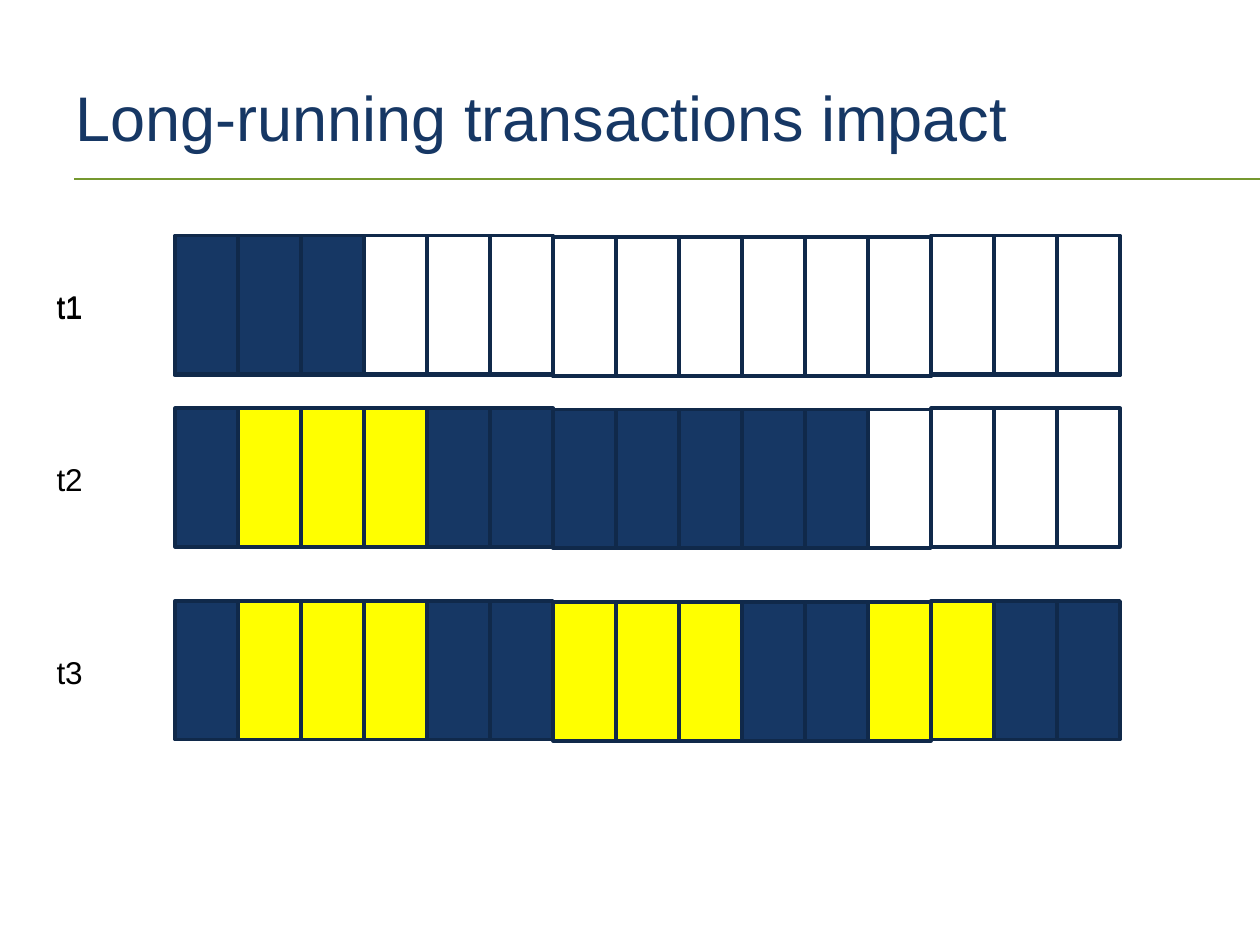
from lxml.etree import SubElement
from pptx import Presentation
from pptx.dml.color import RGBColor
from pptx.enum.shapes import MSO_CONNECTOR, MSO_SHAPE
from pptx.enum.text import MSO_ANCHOR, MSO_AUTO_SIZE, PP_ALIGN
from pptx.oxml.ns import qn
from pptx.util import Inches, Pt

TITLE = "Long-running transactions impact"
ROWS = [
    ("t1", 1.88, "NNNWWWWWWWWWWWW"),
    ("t1", 1.87, "NNNWWWWWWWWWWWW"),
    ("t2", 3.24, "NYYYNNNNNNNWWWW"),
    ("t3", 4.77, "NYYYNNYYYNNYYNN"),
]
COLORS = {
    "N": "163764", "Y": "FFFF00", "W": "FFFFFF",
    "edge": "10294A", "rule": "75982F", "text": "000000",
}
LEFT, WIDE, HIGH = 1.39, 0.5, 1.1
LOW, DROP = range(6, 12), 0.01


def color(key):
    return RGBColor.from_string(COLORS[key])


def style(para, size, key):
    para.alignment = PP_ALIGN.LEFT
    for run in para.runs:
        run.font.name = "Arial"
        run.font.size = Pt(size)
        run.font.color.rgb = color(key)


def add_title(slide):
    title = slide.shapes.title
    title.left, title.top = Inches(0.5), Inches(0.3)
    title.width, title.height = Inches(9), Inches(1.25)
    frame = title.text_frame
    frame.text = TITLE
    frame.vertical_anchor = MSO_ANCHOR.MIDDLE
    style(frame.paragraphs[0], 36, "N")


def add_rule(slide):
    rule = slide.shapes.add_connector(
        MSO_CONNECTOR.STRAIGHT, Inches(0.59), Inches(1.42), Inches(10), Inches(1.42))
    rule.line.color.rgb = color("rule")
    rule.line.width = Pt(1)
    SubElement(rule._element.spPr, qn("a:effectLst"))


def add_cell(slide, left, top, key):
    cell = slide.shapes.add_shape(
        MSO_SHAPE.RECTANGLE, Inches(left), Inches(top), Inches(WIDE), Inches(HIGH))
    cell.shadow.inherit = False
    cell.fill.solid()
    cell.fill.fore_color.rgb = color(key)
    cell.line.color.rgb = color("edge")
    cell.line.width = Pt(2)


def add_label(slide, text, top):
    box = slide.shapes.add_textbox(
        Inches(0.35), Inches(top), Inches(0.41), Inches(0.4))
    frame = box.text_frame
    frame.text = text
    frame.word_wrap = False
    frame.auto_size = MSO_AUTO_SIZE.SHAPE_TO_FIT_TEXT
    style(frame.paragraphs[0], 18, "text")


def main():
    deck = Presentation()
    deck.slide_width, deck.slide_height = Inches(10), Inches(7.5)
    slide = deck.slides.add_slide(deck.slide_layouts[5])
    add_rule(slide)
    add_title(slide)
    for label, top, cells in ROWS:
        for col, key in enumerate(cells):
            shift = DROP if col in LOW else 0
            add_cell(slide, LEFT + col * WIDE, top + shift, key)
        add_label(slide, label, top + 0.36)
    deck.save("out.pptx")


if __name__ == "__main__":
    main()
